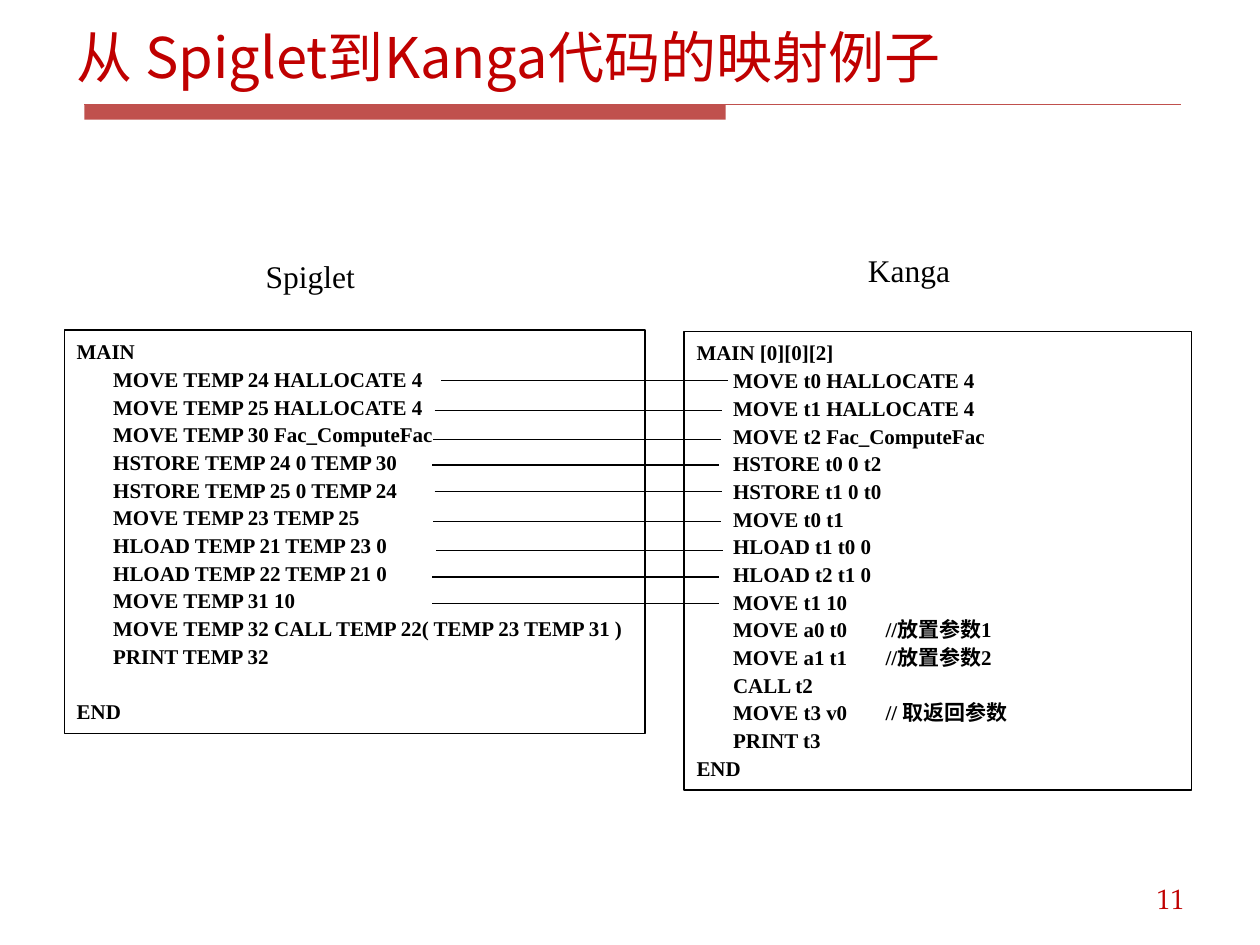
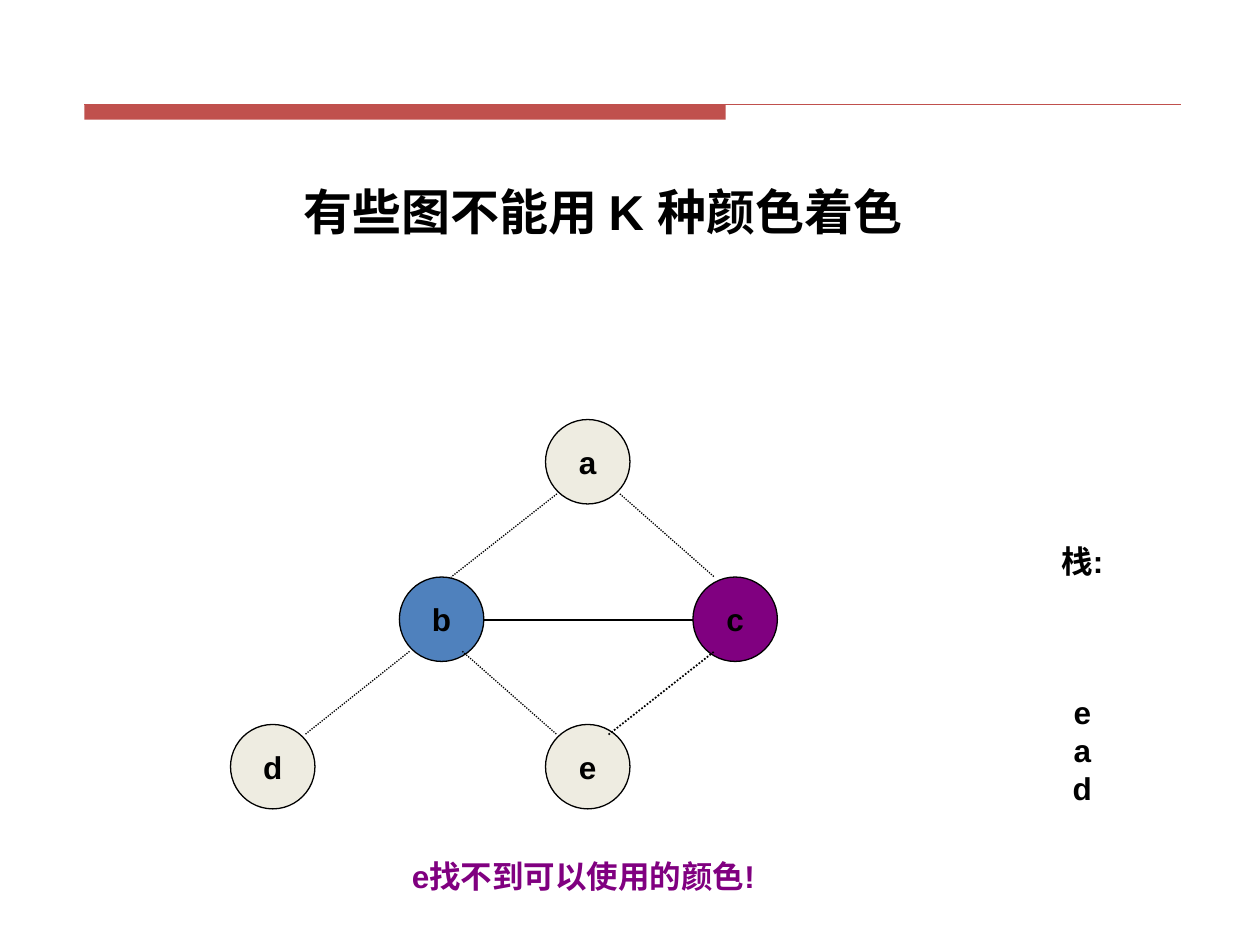
import pptx
import pptx.util
import pptx.dml.color
import pptx.enum.dml
import pptx.enum.shapes
import pptx.enum.text
import lxml.etree

Inches = pptx.util.Inches
Pt = pptx.util.Pt
RGBColor = pptx.dml.color.RGBColor
Align = pptx.enum.text.PP_ALIGN
Anchor = pptx.enum.text.MSO_ANCHOR
Shapes = pptx.enum.shapes.MSO_SHAPE
qn = pptx.oxml.ns.qn

BLACK = RGBColor(0x00, 0x00, 0x00)
WHITE = RGBColor(0xFF, 0xFF, 0xFF)
BAND_RED = RGBColor(0xC0, 0x50, 0x4D)
TITLE_RED = RGBColor(0xC0, 0x00, 0x00)
BLUE = RGBColor(0x4F, 0x81, 0xBD)
CREAM = RGBColor(0xEE, 0xEC, 0xE1)
PURPLE = RGBColor(0x80, 0x00, 0x80)

CHINESE_FONT = "Noto Sans CJK SC"
TITLE = {"name": CHINESE_FONT, "size": Pt(32), "color": TITLE_RED}
PAGE_NUMBER = {"name": "TeX Gyre Pagella", "size": Pt(16), "color": TITLE_RED}
HEADING = {"name": "Times New Roman", "size": Pt(18), "color": BLACK}
CODE = {"name": "Times New Roman", "size": Pt(12), "color": BLACK, "bold": True}
LABEL = {"name": "Arial", "size": Pt(18), "color": BLACK, "bold": True}
WARNING = {**LABEL, "color": PURPLE}
STATEMENT = {**LABEL, "size": Pt(28)}


def write_text(shape, lines, style, align=Align.LEFT, anchor=Anchor.TOP, wrap=True):
    """Fill a shape with one paragraph a line and return the paragraphs."""
    frame = shape.text_frame
    frame.word_wrap = wrap
    frame.vertical_anchor = anchor
    for index, line in enumerate(lines):
        paragraph = frame.add_paragraph() if index else frame.paragraphs[0]
        paragraph.alignment = align
        run = paragraph.add_run()
        run.text = line
        for key, value in style.items():
            if key == "color":
                run.font.color.rgb = value
            else:
                setattr(run.font, key, value)
        properties = run._r.get_or_add_rPr()
        lxml.etree.SubElement(properties, qn("a:ea"), typeface=CHINESE_FONT)
    return frame.paragraphs


def add_line(slide, start, end, color=BLACK, width=0.75, dash=None):
    """Draw a straight line between two points given in inches."""
    line = slide.shapes.add_connector(
        pptx.enum.shapes.MSO_CONNECTOR.STRAIGHT,
        *[Inches(value) for value in (*start, *end)])
    line.line.color.rgb = color
    line.line.width = Pt(width)
    if dash:
        line.line.dash_style = dash
    lxml.etree.SubElement(line._element.spPr, qn("a:effectLst"))


presentation = pptx.Presentation()
presentation.slide_width = Inches(10)
presentation.slide_height = Inches(7.5)

# Band under the title, shared by both slides
slides = []
for _ in range(2):
    slide = presentation.slides.add_slide(presentation.slide_layouts[6])
    band = slide.shapes.add_shape(
        Shapes.RECTANGLE, Inches(0.67), Inches(0.83), Inches(5.09), Inches(0.12))
    band.shadow.inherit = False
    band.fill.solid()
    band.fill.fore_color.rgb = BAND_RED
    band.line.fill.background()
    add_line(slide, (0.67, 0.83), (9.37, 0.83), BAND_RED)
    slides.append(slide)
mapping_slide, graph_slide = slides

# Code mapping: code boxes
spiglet_code = [
    "MAIN",
    "MOVE TEMP 24 HALLOCATE 4",
    "MOVE TEMP 25 HALLOCATE 4",
    "MOVE TEMP 30 Fac_ComputeFac",
    "HSTORE TEMP 24 0 TEMP 30",
    "HSTORE TEMP 25 0 TEMP 24",
    "MOVE TEMP 23 TEMP 25",
    "HLOAD TEMP 21 TEMP 23 0",
    "HLOAD TEMP 22 TEMP 21 0",
    "MOVE TEMP 31 10",
    "MOVE TEMP 32 CALL TEMP 22( TEMP 23 TEMP 31 )",
    "PRINT TEMP 32",
    "END",
]
kanga_code = [
    "MAIN [0][0][2]",
    "MOVE t0 HALLOCATE 4",
    "MOVE t1 HALLOCATE 4",
    "MOVE t2 Fac_ComputeFac",
    "HSTORE t0 0 t2",
    "HSTORE t1 0 t0",
    "MOVE t0 t1",
    "HLOAD t1 t0 0",
    "HLOAD t2 t1 0",
    "MOVE t1 10",
    "MOVE a0 t0\t//放置参数1",
    "MOVE a1 t1\t//放置参数2",
    "CALL t2",
    "MOVE t3 v0\t// 取返回参数",
    "PRINT t3",
    "END",
]
code_boxes = [
    (0.51, 2.62, 4.61, 3.2, spiglet_code, 15.9),
    (5.43, 2.63, 4.03, 3.64, kanga_code, 0),
]
for left, top, width, height, code, gap_before_end in code_boxes:
    box = mapping_slide.shapes.add_shape(
        Shapes.RECTANGLE, Inches(left), Inches(top), Inches(width), Inches(height))
    box.shadow.inherit = False
    box.fill.solid()
    box.fill.fore_color.rgb = WHITE
    box.line.color.rgb = BLACK
    box.line.width = Pt(0.75)
    paragraphs = write_text(box, code, CODE)
    for paragraph in paragraphs:
        paragraph.line_spacing = 1.1
    # Instructions are indented, and comments stand at a tab stop
    for paragraph in paragraphs[1:-1]:
        properties = paragraph._p.get_or_add_pPr()
        properties.set("marL", "0")
        properties.set("indent", str(Inches(0.29)))
        if "\t" in paragraph.text:
            tabs = lxml.etree.SubElement(properties, qn("a:tabLst"))
            lxml.etree.SubElement(
                tabs, qn("a:tab"), pos=str(Inches(1.72)), algn="l")
    paragraphs[-1].space_before = Pt(gap_before_end)

# Code mapping: lines between matching instructions
matches = [(3.5, 3.02), (3.45, 3.26), (3.44, 3.49), (3.43, 3.69), (3.45, 3.9),
           (3.44, 4.14), (3.46, 4.37), (3.43, 4.58), (3.43, 4.79)]
for left, top in matches:
    add_line(mapping_slide, (left, top), (left + 2.28, top))

# Graph colouring: nodes
nodes = [
    ("a", 4.33, 3.33, CREAM),
    ("b", 3.17, 4.58, BLUE),
    ("c", 5.5, 4.58, PURPLE),
    ("d", 1.83, 5.75, CREAM),
    ("e", 4.33, 5.75, CREAM),
]
for name, left, top, color in nodes:
    node = graph_slide.shapes.add_shape(
        Shapes.OVAL, Inches(left), Inches(top), Inches(0.67), Inches(0.67))
    node.shadow.inherit = False
    node.fill.solid()
    node.fill.fore_color.rgb = color
    node.line.color.rgb = BLACK
    node.line.width = Pt(0.75)
    write_text(node, [name], LABEL, Align.CENTER, Anchor.MIDDLE, False)

# Graph colouring: edges, dotted where a node has been removed
dotted = pptx.enum.dml.MSO_LINE.ROUND_DOT
edges = [
    ((4.42, 3.92), (3.58, 4.58), 0.75, dotted),
    ((4.92, 3.92), (5.67, 4.58), 0.75, dotted),
    ((3.25, 5.17), (2.42, 5.83), 0.75, dotted),
    ((3.67, 5.17), (4.42, 5.83), 0.75, dotted),
    ((4.83, 5.83), (5.67, 5.17), 1, dotted),
    ((3.83, 4.92), (5.5, 4.92), 1, None),
]
for start, end, width, dash in edges:
    add_line(graph_slide, start, end, BLACK, width, dash)

# Text boxes of both slides
text_boxes = [
    (mapping_slide, 0.51, 0, 8.99, 0.89, ["从 Spiglet到Kanga代码的映射例子"],
     TITLE, Align.LEFT, Anchor.MIDDLE, True),
    (mapping_slide, 7.17, 6.95, 2.33, 0.4, ["11"],
     PAGE_NUMBER, Align.RIGHT, Anchor.TOP, True),
    (mapping_slide, 2.01, 1.99, 1.14, 0.5, ["Spiglet"],
     HEADING, Align.LEFT, Anchor.TOP, False),
    (mapping_slide, 6.79, 1.94, 1.07, 0.5, ["Kanga"],
     HEADING, Align.LEFT, Anchor.TOP, False),
    (graph_slide, 2.29, 1.39, 4.99, 0.57, ["有些图不能用 K 种颜色着色"],
     STATEMENT, Align.CENTER, Anchor.TOP, True),
    (graph_slide, 3.16, 6.75, 2.94, 0.4, ["e找不到可以使用的颜色!"],
     WARNING, Align.CENTER, Anchor.TOP, False),
    (graph_slide, 8.32, 4.25, 0.54, 2.2, ["栈:", "e", "a", "d"],
     LABEL, Align.CENTER, Anchor.TOP, False),
]
for slide, left, top, width, height, lines, style, align, anchor, wrap in text_boxes:
    box = slide.shapes.add_textbox(
        Inches(left), Inches(top), Inches(width), Inches(height))
    paragraphs = write_text(box, lines, style, align, anchor, wrap)
    # The stack entries stand well below their heading
    if len(lines) > 1:
        paragraphs[1].space_before = Pt(65)

presentation.save("out.pptx")
